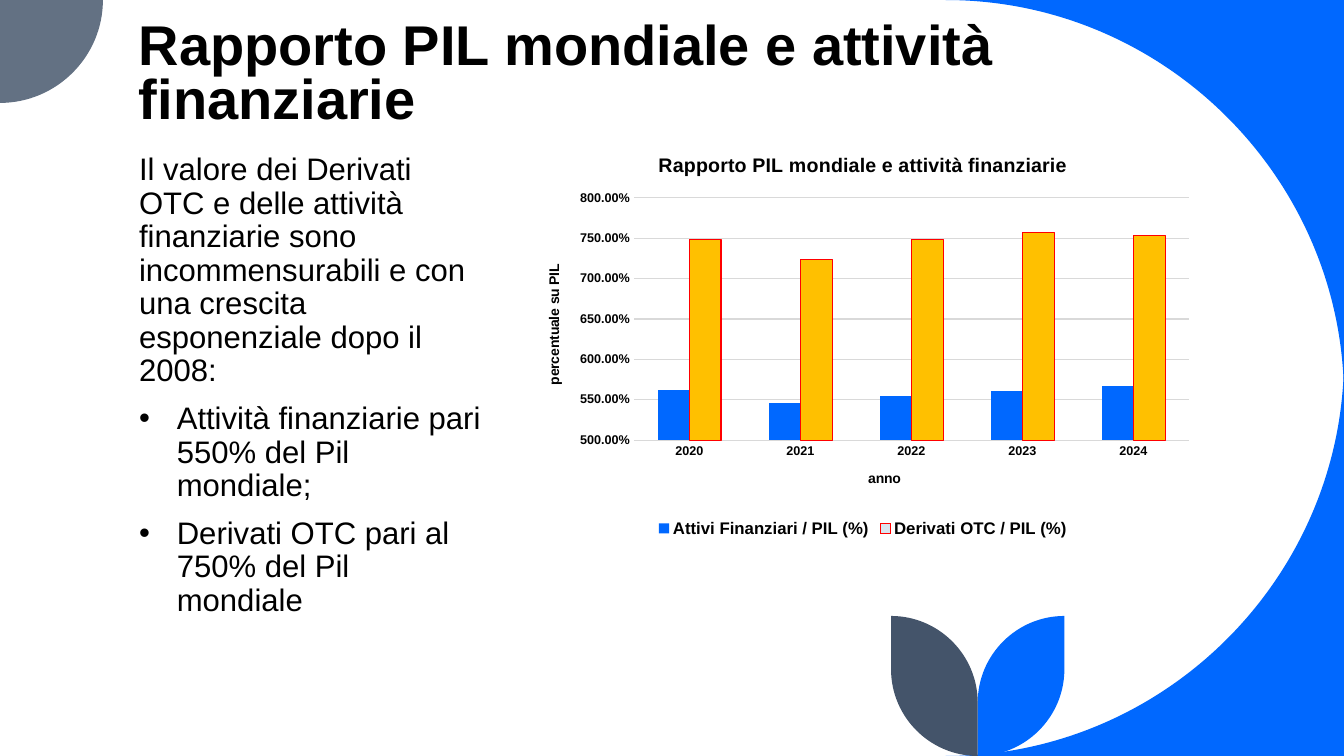
from lxml import etree
from pptx import Presentation
from pptx.chart.data import CategoryChartData as Data
from pptx.dml.color import RGBColor as RGB
from pptx.enum.chart import XL_CHART_TYPE as Kind
from pptx.enum.chart import XL_LEGEND_POSITION as Spot
from pptx.enum.chart import XL_TICK_MARK as Tick
from pptx.enum.text import MSO_ANCHOR as Anchor
from pptx.oxml import parse_xml
from pptx.oxml.ns import nsdecls, qn
from pptx.util import Pt

HEX = {"blue": "0068FF", "grey": "637183", "slate": "44546A", "black": "000000",
       "grid": "D9D9D9", "pale": "DAE5EF", "gold": "FFC000", "red": "FF0000"}
TITLE = "Rapporto PIL mondiale e attività finanziarie"
WIDE, HIGH = 960, 540
BEND = 0.55  # handle length of a quarter circle


class Page:
    def __init__(self, slide, font="Arial"):
        self.slide, self.font = slide, font

    def color(self, name):
        return RGB.from_string(HEX[name])

    def style(self, font, size, bold=False):
        font.name, font.size, font.bold = self.font, Pt(size), bold
        font.color.rgb = self.color("black")

    def fill(self, form, name):
        form.fill.solid()
        form.fill.fore_color.rgb = self.color(name)

    def stroke(self, line, name):
        line.color.rgb = self.color(name)
        line.width = Pt(0.75)

    def outline(self, dots, bends, name):
        """Closed outline; bends maps a dot to the corner its curve rounds."""
        ends = [(Pt(x), Pt(y)) for x, y in dots]
        pen = self.slide.shapes.build_freeform(*ends[0])
        pen.add_line_segments(ends[1:], close=True)
        shape = pen.convert_to_shape()
        shape.shadow.inherit = False
        self.fill(shape, name)
        shape.line.fill.background()

        lines = list(shape._element.iter(qn("a:lnTo")))
        for i, corner in bends.items():
            line = lines[i - 1]
            spots = [[a + (c - a) * BEND for a, c in zip(dots[j], corner)]
                     for j in (i - 1, i)]
            curve = etree.Element(qn("a:cubicBezTo"))
            for x, y in spots + [dots[i]]:
                etree.SubElement(curve, qn("a:pt"), x=str(Pt(x) - shape.left),
                                 y=str(Pt(y) - shape.top))
            line.getparent().replace(line, curve)

    def text(self, box, lines, size, bold=False, space=0.9, gap=0,
             anchor=Anchor.TOP):
        frame = self.slide.shapes.add_textbox(*map(Pt, box)).text_frame
        frame.word_wrap = True
        frame.vertical_anchor = anchor
        frame.text = "\n".join(lines)
        for para in frame.paragraphs:
            para.line_spacing, para.space_before = space, Pt(gap)
            self.style(para.runs[0].font, size, bold)
        return frame.paragraphs

    def bullet(self, para, indent):
        props = para._p.get_or_add_pPr()
        props.set("marL", str(Pt(indent)))
        props.set("indent", str(-Pt(indent)))
        etree.SubElement(props, qn("a:buFont")).set("typeface", self.font)
        etree.SubElement(props, qn("a:buChar")).set("char", "•")

    def head(self, owner, text, size):
        frame = owner.text_frame
        frame.text = text
        self.style(frame.paragraphs[0].runs[0].font, size, True)

    def axis(self, axis, title):
        self.head(axis.axis_title, title, 10)
        self.style(axis.tick_labels.font, 9, True)
        axis.major_tick_mark = axis.minor_tick_mark = Tick.NONE

    def chart(self, box, years, rows, plot):
        data = Data(number_format="0.00%")
        data.categories = years
        for name, vals in rows:
            data.add_series(name, vals)
        chart = self.slide.shapes.add_chart(
            Kind.COLUMN_CLUSTERED, *map(Pt, box), data).chart
        self.style(chart.font, 10)
        self.head(chart.chart_title, TITLE, 14)
        chart.chart_title.include_in_layout = False

        # Legend
        chart.has_legend = True
        chart.legend.position = Spot.BOTTOM
        chart.legend.include_in_layout = False
        self.style(chart.legend.font, 12, True)

        # Axes
        cat, val = chart.category_axis, chart.value_axis
        self.axis(cat, "anno")
        self.stroke(cat.format.line, "grid")
        self.axis(val, "percentuale su PIL")
        val.format.line.fill.background()
        self.stroke(val.major_gridlines.format.line, "grid")
        val.minimum_scale, val.maximum_scale, val.major_unit = 5, 8, 0.5
        val.tick_labels.number_format = "0.00%"
        val.tick_labels.number_format_is_linked = False

        # Bars
        bars = chart.plots[0]
        bars.gap_width, bars.overlap, bars.vary_by_categories = 150, 0, False
        assets, swaps = bars.series
        self.fill(assets.format, "blue")
        self.fill(swaps.format, "pale")
        self.stroke(swaps.format.line, "red")
        for i in range(len(years)):
            form = swaps.points[i].format
            self.fill(form, "gold")
            self.stroke(form.line, "red")

        # Plot area, as shares of the chart
        sides = "".join(f'<c:{key} val="{part / whole}"/>' for key, part, whole
                        in zip("xywh", plot, box[2:] * 2))
        area = chart._chartSpace.chart.plotArea
        for old in area.findall(qn("c:layout")):
            area.remove(old)
        area.insert(0, parse_xml(
            f'<c:layout {nsdecls("c")}><c:manualLayout>'
            '<c:layoutTarget val="inner"/><c:xMode val="edge"/>'
            f'<c:yMode val="edge"/>{sides}</c:manualLayout></c:layout>'))


def main():
    deck = Presentation()
    deck.slide_width, deck.slide_height = Pt(WIDE), Pt(HIGH)
    page = Page(deck.slides.add_slide(deck.slide_layouts[6]))

    # Corner shapes
    big, small = 284.5, 73.5
    left = WIDE - big
    for edge, inner in ((0, big), (HIGH, HIGH - big)):
        page.outline([(WIDE, edge), (left, edge), (WIDE, inner)],
                     {2: (WIDE, edge)}, "blue")
    page.outline([(0, 0), (small, 0), (0, small)], {2: (small, small)}, "grey")

    # Leaves
    stem, leaf, top = 698.4, 61.9, 440
    for side, name in ((1, "blue"), (-1, "slate")):
        tip = stem + side * leaf
        page.outline([(tip, top), (tip, HIGH - leaf), (stem, HIGH),
                      (stem, top + leaf), (tip, top)],
                     {2: (tip, HIGH), 4: (stem, top)}, name)

    # Text
    page.text((92.2, 10.8, 756, 85.7), [TITLE], 40, True, 0.8, anchor=Anchor.BOTTOM)
    paras = page.text((92.2, 106.2, 260.6, 315.4), [
        "Il valore dei Derivati OTC e delle attività finanziarie sono "
        "incommensurabili e con una crescita esponenziale dopo il 2008:",
        "Attività finanziarie pari 550% del Pil mondiale;",
        "Derivati OTC pari al 750% del Pil mondiale"], 22.2, gap=10)
    for para in paras[1:]:
        page.bullet(para, 27)

    # Chart
    page.chart((373.4, 96.5, 486, 290.2), ["2020", "2021", "2022", "2023", "2024"], [
        ("Attivi Finanziari / PIL (%)", (5.62, 5.46, 5.54, 5.61, 5.67)),
        ("Derivati OTC / PIL (%)", (7.48, 7.24, 7.49, 7.57, 7.53))],
        plot=(79.3, 44.9, 396.6, 173))

    deck.save("out.pptx")


if __name__ == "__main__":
    main()
